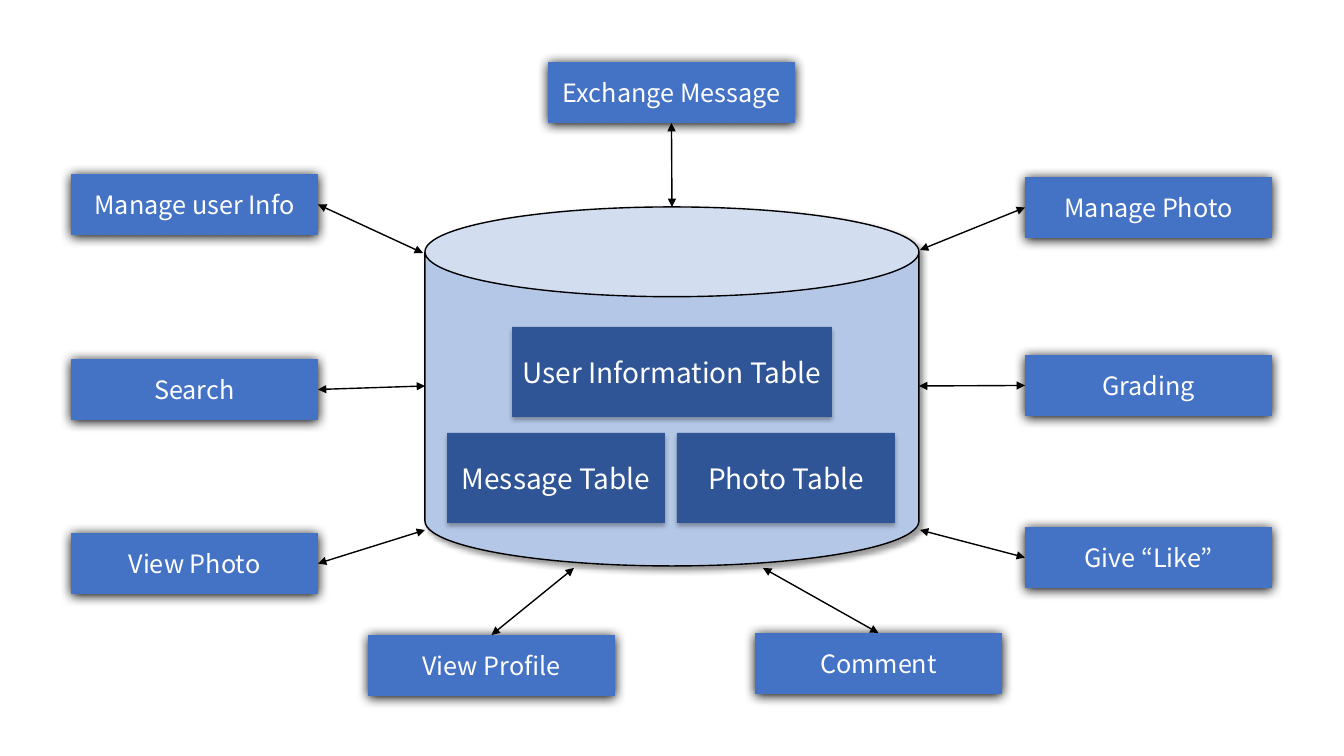
"""Draw a social app's database with the actions that use it around it."""
import pptx
import pptx.dml.color
import pptx.enum.shapes
import pptx.enum.text
import pptx.oxml
import pptx.oxml.ns
import pptx.util

WIDE, HIGH = 1344, 756
FONT = "Noto Sans CJK KR"
KIND = pptx.enum.shapes.MSO_SHAPE

STORE = (425, 207, 494, 359)
TABLES = [
    ("User Information Table", 512, 327, 320),
    ("Photo Table", 677, 433, 218),
    ("Message Table", 447, 433, 218),
]
TABLE_H = 90

BOX_W, BOX_H = 247, 61
LEFT, RIGHT = 71, 1025
SIDES = {"left": (0, 0.5), "right": (1, 0.5), "top": (0.5, 0), "bottom": (0.5, 1)}
ACTIONS = [
    ("Manage user Info", LEFT, 174, "right", (423, 253)),
    ("Search", LEFT, 359, "right", (425, 386)),
    ("View Photo", LEFT, 533, "right", (425, 530)),
    ("Exchange Message", 548, 62, "bottom", (672, 207)),
    ("Manage Photo", RIGHT, 177, "left", (920, 250)),
    ("Grading", RIGHT, 355, "left", (919, 386)),
    ("Give “Like”", RIGHT, 527, "left", (920, 530)),
    ("Comment", 755, 633, "top", (763, 568)),
    ("View Profile", 368, 635, "top", (574, 568)),
]

STORE_SHADE = (40, 4, 3, 45, "tl")
TABLE_SHADE = (32, 3.5, 2.2, 90, "t")
ACTION_SHADE = (100, 8.5, 1, 90, "t")


def px(size):
    return round(size * 914400 / 100.8)


def hue(code):
    return pptx.dml.color.RGBColor.from_string(code)


def add_xml(parent, tag, inner="", **attrs):
    pairs = " ".join(f'{key}="{val}"' for key, val in attrs.items())
    space = pptx.oxml.ns.nsdecls("a")
    node = pptx.oxml.parse_xml(f"<a:{tag} {space} {pairs}>{inner}</a:{tag}>")
    parent.append(node)
    return node


def add_block(slide, kind, area, fill, shade):
    shape = slide.shapes.add_shape(kind, *map(px, area))
    shape.fill.solid()
    shape.fill.fore_color.rgb = hue(fill)
    shape.line.fill.background()
    shape.shadow.inherit = False
    alpha, blur, dist, angle, align = shade
    effects = shape.element.spPr.find(pptx.oxml.ns.qn("a:effectLst"))
    black = f'<a:srgbClr val="000000"><a:alpha val="{alpha * 1000}"/></a:srgbClr>'
    add_xml(effects, "outerShdw", black, blurRad=pptx.util.Pt(blur),
            dist=pptx.util.Pt(dist), dir=angle * 60000, algn=align,
            rotWithShape=0)
    return shape


def add_label(shape, text, size):
    frame = shape.text_frame
    frame.text = text
    frame.word_wrap = True
    frame.vertical_anchor = pptx.enum.text.MSO_ANCHOR.MIDDLE
    line = frame.paragraphs[0]
    line.alignment = pptx.enum.text.PP_ALIGN.CENTER
    font = line.runs[0].font
    font.name = FONT
    font.size = pptx.util.Pt(size)
    font.color.rgb = hue("FFFFFF")
    add_xml(font._element, "ea", typeface=FONT)


def set_line(line):
    line.color.rgb = hue("000000")
    line.width = pptx.util.Pt(1)


def add_arrow(slide, start, end):
    straight = pptx.enum.shapes.MSO_CONNECTOR.STRAIGHT
    arrow = slide.shapes.add_connector(straight, *map(px, start + end))
    set_line(arrow.line)
    props = arrow.element.spPr
    edge = props.find(pptx.oxml.ns.qn("a:ln"))
    for tag in ("headEnd", "tailEnd"):
        add_xml(edge, tag, type="triangle")
    add_xml(props, "effectLst")


def main():
    deck = pptx.Presentation()
    deck.slide_width, deck.slide_height = px(WIDE), px(HIGH)
    slide = deck.slides.add_slide(deck.slide_layouts[6])

    store = add_block(slide, KIND.CAN, STORE, "B4C7E7", STORE_SHADE)
    set_line(store.line)
    for text, left, top, width in TABLES:
        area = (left, top, width, TABLE_H)
        table = add_block(slide, KIND.RECTANGLE, area, "2F5597", TABLE_SHADE)
        add_label(table, text, 20)
    for text, left, top, side, end in ACTIONS:
        area = (left, top, BOX_W, BOX_H)
        box = add_block(slide, KIND.FLOWCHART_PROCESS, area, "4472C4", ACTION_SHADE)
        add_label(box, text, 18)
        across, down = SIDES[side]
        add_arrow(slide, (left + across * BOX_W, top + down * BOX_H), end)

    deck.save("out.pptx")


if __name__ == "__main__":
    main()
